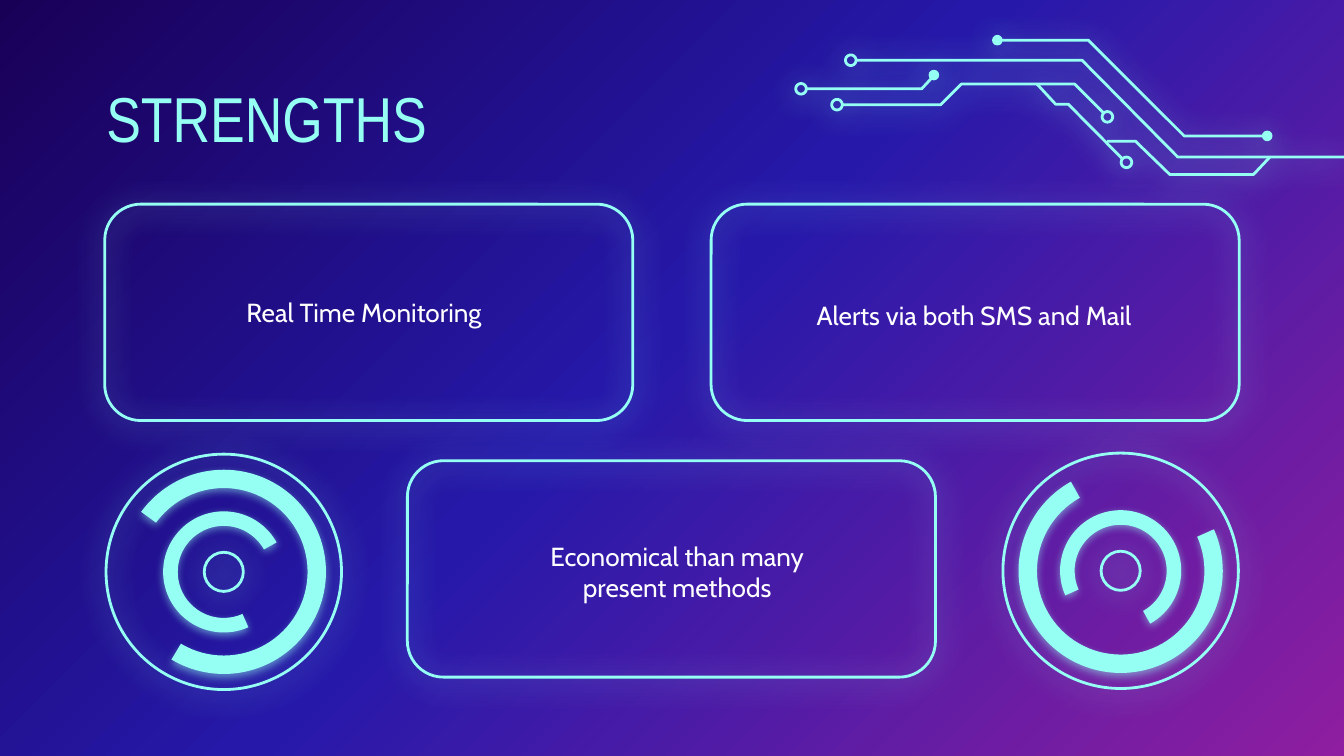
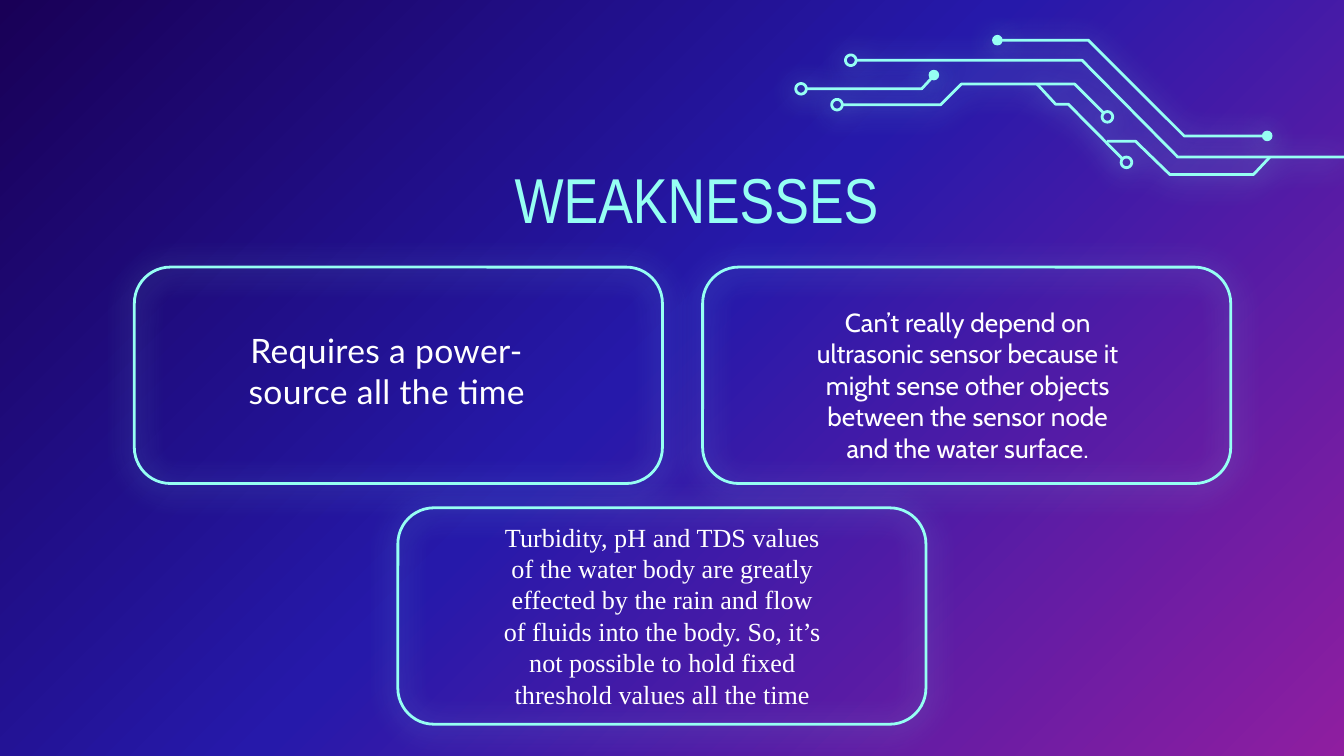
from math import cos, pi, sin

from lxml import etree
from pptx import Presentation
from pptx import util as u
from pptx.dml.color import RGBColor
from pptx.enum import shapes, text
from pptx.oxml.ns import qn

HUES = {"neon": "96FFF3", "glow": "98FAFC", "text": "FFFFFF",
        "night": "190057", "blue": "2619AA", "plum": "8F1EA0"}
KIND = shapes.MSO_SHAPE
MID, TOP = text.MSO_ANCHOR.MIDDLE, text.MSO_ANCHOR.TOP
LEFT, MIDDLE = text.PP_ALIGN.LEFT, text.PP_ALIGN.CENTER

# Circuit strands: open traces, hollow ring centres, solid dot centres (cm)
STRANDS = [
    ([[(15.24, 1.68), (17.42, 1.68), (17.65, 1.43)]],
     [(15.14, 1.68)], [(17.65, 1.42)]),
    ([[(18.85, 0.76), (20.57, 0.76), (22.38, 2.57), (23.95, 2.57)]],
     [], [(18.85, 0.76), (23.95, 2.57)]),
    ([[(16.18, 1.14), (20.45, 1.14), (22.26, 2.97), (25.4, 2.97)],
      [(15.92, 1.98), (17.78, 1.98), (18.17, 1.59), (20.31, 1.59), (20.85, 2.13)],
      [(19.6, 1.59), (19.95, 1.97), (20.19, 1.97), (21.21, 3.0)],
      [(20.92, 2.67), (21.46, 2.67), (22.11, 3.3), (23.69, 3.3), (24.0, 2.97)]],
     [(16.08, 1.14), (15.82, 1.98), (21.29, 3.07), (20.93, 2.21)], []),
]
NODE = 0.1  # radius of rings and dots

# Each box: frame corner, text area, placeholder index, font, size, words
SLIDES = [
    {"title": "STRENGTHS", "at": (2.01, 1.5), "align": LEFT,
     "boxes": [
         ((1.98, 3.86), (3.63, 4.9, 6.5, 2.01), 1, "Cabin", 14,
          "Real Time Monitoring"),
         ((13.44, 3.86), (15.16, 4.95, 6.5, 2.01), 3, "Cabin", 14,
          "Alerts via both SMS and Mail"),
         ((7.7, 8.71), (9.55, 9.8, 6.5, 2.01), 2, "Cabin", 14,
          "Economical than many present methods")],
     "dials": [((4.23, 10.81), 90, 300), ((21.18, 10.79), 210, 30)]},
    {"title": "WEAKNESSES", "at": (2.46, 3.02), "align": MIDDLE,
     "boxes": [
         ((2.54, 5.05), (4.06, 6.27, 6.5, 1.47), 1, "Lato", 18,
          "Requires a power-source all the time"),
         ((13.28, 5.05), (15.04, 6.27, 6.5, 2.01), 3, "Cabin", 14,
          "Can’t really depend on ultrasonic sensor because it might sense "
          "other objects between the sensor node and the water surface."),
         ((7.52, 9.6), (9.27, 8.05, 6.5, 7.16), None, "Times New Roman", 14,
          "Turbidity, pH and TDS values of the water body are greatly effected "
          "by the rain and flow of fluids into the body. So, it’s not possible "
          "to hold fixed threshold values all the time")],
     "dials": []},
]


def light(shape, solid=False, hue="neon", alpha=67, blur=15.8):
    """Give a shape a neon fill or outline and a soft glow."""
    color = RGBColor.from_string(HUES["neon"])
    if solid:
        shape.fill.solid()
        shape.fill.fore_color.rgb = color
        shape.line.fill.background()
    else:
        shape.fill.background()
        shape.line.color.rgb = color
        shape.line.width = u.Pt(1.5)
    shape.shadow.inherit = False
    effects = shape.element.spPr.find(qn("a:effectLst"))
    shade = etree.SubElement(effects, qn("a:outerShdw"), blurRad=str(u.Pt(blur)),
                             dist=str(u.Pt(1.5)), dir="5400000", algn="bl",
                             rotWithShape="0")
    tint = etree.SubElement(shade, qn("a:srgbClr"), val=HUES[hue])
    etree.SubElement(tint, qn("a:alpha"), val=str(alpha * 1000))


def write(shape, words, area, inset, anchor, align, font):
    """Place a text shape and fill it with one formatted paragraph."""
    for name, value in zip(("left", "top", "width", "height"), area):
        setattr(shape, name, u.Cm(value))
    frame = shape.text_frame
    frame.text = words
    look = {"word_wrap": True, "auto_size": text.MSO_AUTO_SIZE.NONE,
            "vertical_anchor": anchor}
    for side in ("left", "top", "right", "bottom"):
        look["margin_" + side] = u.Cm(inset)
    for name, value in look.items():
        setattr(frame, name, value)
    para = frame.paragraphs[0]
    props = para._p.get_or_add_pPr()
    props.set("marL", "0")
    props.set("indent", "0")
    etree.SubElement(props, qn("a:buNone"))
    para.alignment = align
    para.space_before = u.Pt(0)
    run = para.runs[0]
    face, size, hue = font
    for name, value in {"name": face, "size": u.Pt(size), "bold": False}.items():
        setattr(run.font, name, value)
    run.font.color.rgb = RGBColor.from_string(HUES[hue])
    if face == "Lato":
        run.font._element.set("spc", "20")


deck = Presentation()
deck.slide_width, deck.slide_height = u.Cm(25.4), u.Cm(14.29)

# Shared gradient backdrop
fill = deck.slide_master.background.fill
fill.gradient()
fill.gradient_angle = 315
stops = deck.slide_master.element.find(".//" + qn("a:gsLst"))
for stop in list(stops):
    stops.remove(stop)
for hue, pos in (("night", 0), ("blue", 48), ("plum", 100)):
    stop = etree.SubElement(stops, qn("a:gs"), pos=str(pos * 1000))
    etree.SubElement(stop, qn("a:srgbClr"), val=HUES[hue])

for page in SLIDES:
    slide = deck.slides.add_slide(deck.slide_layouts[4])
    tree = slide.shapes
    slots = {slot.placeholder_format.idx: slot for slot in slide.placeholders}

    # Circuit
    for traces, rings, dots in STRANDS:
        loops = [[(x + NODE * cos(k * pi / 12), y + NODE * sin(k * pi / 12))
                  for k in range(24)] for x, y in rings]
        pen = None
        for line in traces + loops:
            points = [(u.Cm(x), u.Cm(y)) for x, y in line]
            if pen is None:
                pen = tree.build_freeform(*points[0])
            else:
                pen.move_to(*points[0])
            pen.add_line_segments(points[1:], close=line in loops)
        light(pen.convert_to_shape())
        for x, y in dots:
            dot = tree.add_shape(KIND.OVAL, u.Cm(x - NODE), u.Cm(y - NODE),
                                 u.Cm(2 * NODE), u.Cm(2 * NODE))
            light(dot, solid=True)

    # Dials: two circles and two arcs around one centre
    for (x, y), outer, inner in page["dials"]:
        for size, turn, band in ((4.45, 0, 0), (3.86, outer, 0.09),
                                 (0.74, 0, 0), (2.29, inner, 0.12)):
            kind = KIND.BLOCK_ARC if band else KIND.OVAL
            part = tree.add_shape(kind, u.Cm(x - size / 2), u.Cm(y - size / 2),
                                  u.Cm(size), u.Cm(size))
            part.rotation = turn
            if band:
                for k, value in enumerate((75.58, 18.5, band)):
                    part.adjustments[k] = value
                light(part, solid=True, alpha=50, blur=4.5)
            else:
                light(part)

    # Title and framed points
    write(slots.pop(0), page["title"], (*page["at"], 21.41, 1.6), 0, TOP,
          page["align"], ("Arial Narrow", 34, "neon"))
    for (x, y), area, idx, face, size, words in page["boxes"]:
        frame = tree.add_shape(KIND.ROUNDED_RECTANGLE, u.Cm(x), u.Cm(y),
                               u.Cm(9.98), u.Cm(4.09))
        light(frame, hue="glow")
        if idx is None:
            body = tree.add_textbox(0, 0, 0, 0)
        else:
            body = slots.pop(idx)
            frame.element.addnext(body.element)
        write(body, words, area, 0.25, MID, MIDDLE, (face, size, "text"))
    for slot in slots.values():
        slot.element.getparent().remove(slot.element)

deck.save("out.pptx")
